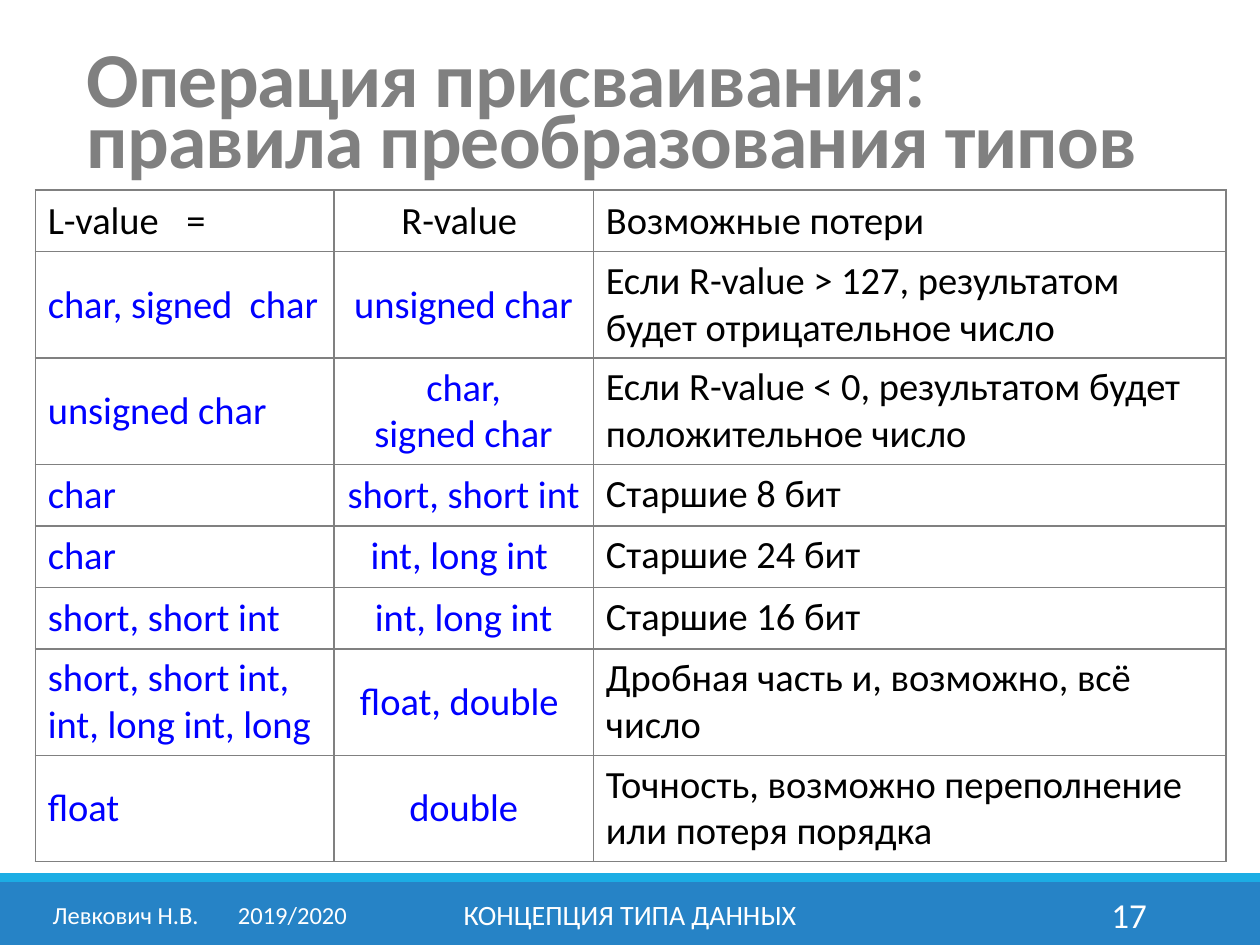
from lxml.etree import SubElement
from pptx import Presentation
from pptx.dml.color import RGBColor
from pptx.enum.shapes import MSO_SHAPE
from pptx.enum.text import MSO_ANCHOR, PP_ALIGN
from pptx.oxml.ns import qn
from pptx.util import Inches, Pt

WIDTH, HEIGHT = Inches(10), Inches(7.5)
GRAY, BLUE, BLACK, WHITE = "808080", "0000FF", "000000", "FFFFFF"
LEFT, CENTER, RIGHT = PP_ALIGN.LEFT, PP_ALIGN.CENTER, PP_ALIGN.RIGHT


def share(left, top, width, height):
    return [int(part * side / 100) for part, side in
            zip((left, top, width, height), (WIDTH, HEIGHT, WIDTH, HEIGHT))]


def write(frame, text, size=22, color=BLACK, align=LEFT, bold=False,
          line_spacing=None, tracking=None, tab=None):
    frame.word_wrap = True
    paragraph = frame.paragraphs[0]
    paragraph.text = text
    paragraph.alignment = align
    paragraph.line_spacing = line_spacing
    for run in paragraph.runs:
        run.font.name = "Calibri"
        run.font.size = Pt(size)
        run.font.bold = bold
        run.font.color.rgb = RGBColor.from_string(color)
        if tracking:
            run.font._element.set("spc", str(tracking))
    if tab:
        stops = SubElement(paragraph._p.get_or_add_pPr(), qn("a:tabLst"))
        SubElement(stops, qn("a:tab"), pos=str(int(tab * WIDTH / 100)), algn="l")


presentation = Presentation()
presentation.slide_width, presentation.slide_height = WIDTH, HEIGHT
slide = presentation.slides.add_slide(presentation.slide_layouts[6])

for top, height, color in [(93.33, 6.67, "2683C6"), (92.4, 0.93, "1CADE4")]:
    band = slide.shapes.add_shape(MSO_SHAPE.RECTANGLE, *share(0, top, 100, height))
    band.shadow.inherit = False
    band.fill.solid()
    band.fill.fore_color.rgb = RGBColor.from_string(color)
    band.line.fill.background()

rules = [
    ("L-value\t=", "R-value ", "Возможные потери"),
    ("char, signed  char", "unsigned char",
     "Если R-value > 127, результатом будет отрицательное число"),
    ("unsigned char", "char,\nsigned char",
     "Если R-value < 0, результатом будет положительное число"),
    ("char", "short, short int", "Старшие 8 бит"),
    ("char", "int, long int ", "Старшие 24 бит"),
    ("short, short int", "int, long int", "Старшие 16 бит"),
    ("short, short int,\nint, long int, long", "float, double ",
     "Дробная часть и, возможно, всё число"),
    ("float", "double", "Точность, возможно переполнение или потеря порядка"),
]
column_shares = [23.7, 20.6, 50.2]
single_line, double_line = 6.5, 11.27
two_line_rows = {1, 2, 6, 7}
middle_loss_rows = {0, 6}

table = slide.shapes.add_table(
    len(rules), len(column_shares), *share(2.8, 20.13, 94.5, 71.1)).table
table.first_row = table.horz_banding = False
for column, width in zip(table.columns, column_shares):
    column.width = int(width * WIDTH / 100)

for row, rule in enumerate(rules):
    line_share = double_line if row in two_line_rows else single_line
    table.rows[row].height = int(line_share * HEIGHT / 100)
    for column, text in enumerate(rule):
        cell = table.cell(row, column)
        loss = column == 2
        write(cell.text_frame, text,
              color=BLACK if row == 0 or loss else BLUE,
              align=CENTER if column == 1 else LEFT,
              tab=11 if "\t" in text else None)
        top_anchored = loss and row not in middle_loss_rows
        cell.vertical_anchor = MSO_ANCHOR.TOP if top_anchored else MSO_ANCHOR.MIDDLE
        properties = cell._tc.get_or_add_tcPr()
        for side in ("a:lnL", "a:lnR", "a:lnT", "a:lnB"):
            border = SubElement(properties, qn(side), w=str(Pt(1)))
            SubElement(SubElement(border, qn("a:solidFill")), qn("a:srgbClr"), val=GRAY)
        cell.fill.background()

captions = [
    ((5.9, 4.8, 89.2, 15.73), "Операция присваивания:\nправила преобразования типов",
     dict(size=44.4, color=GRAY, bold=True, line_spacing=0.65, tracking=-50)),
    ((3.2, 94.13, 26.1, 5.33), "Левкович Н.В.\t2019/2020",
     dict(size=14, color=WHITE, tab=14.7)),
    ((30.2, 94.13, 39.6, 5.33), "КОНЦЕПЦИЯ ТИПА ДАННЫХ",
     dict(size=16, color=WHITE, align=CENTER)),
    ((81.2, 94.13, 10.8, 5.33), "17", dict(size=20, color=WHITE, align=RIGHT)),
]
for area, text, style in captions:
    caption = slide.shapes.add_textbox(*share(*area)).text_frame
    caption.vertical_anchor = MSO_ANCHOR.MIDDLE
    write(caption, text, **style)

presentation.save("out.pptx")
